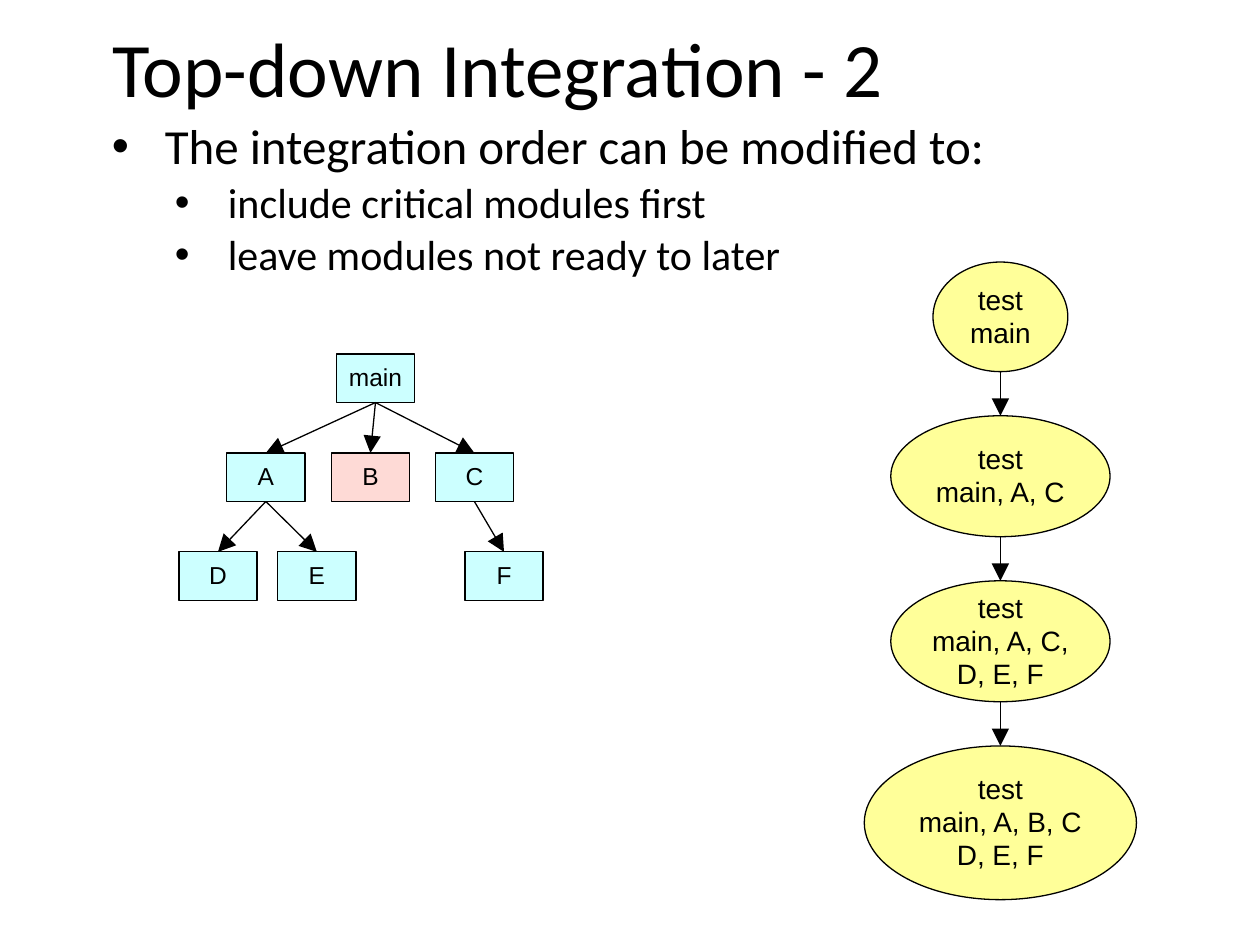
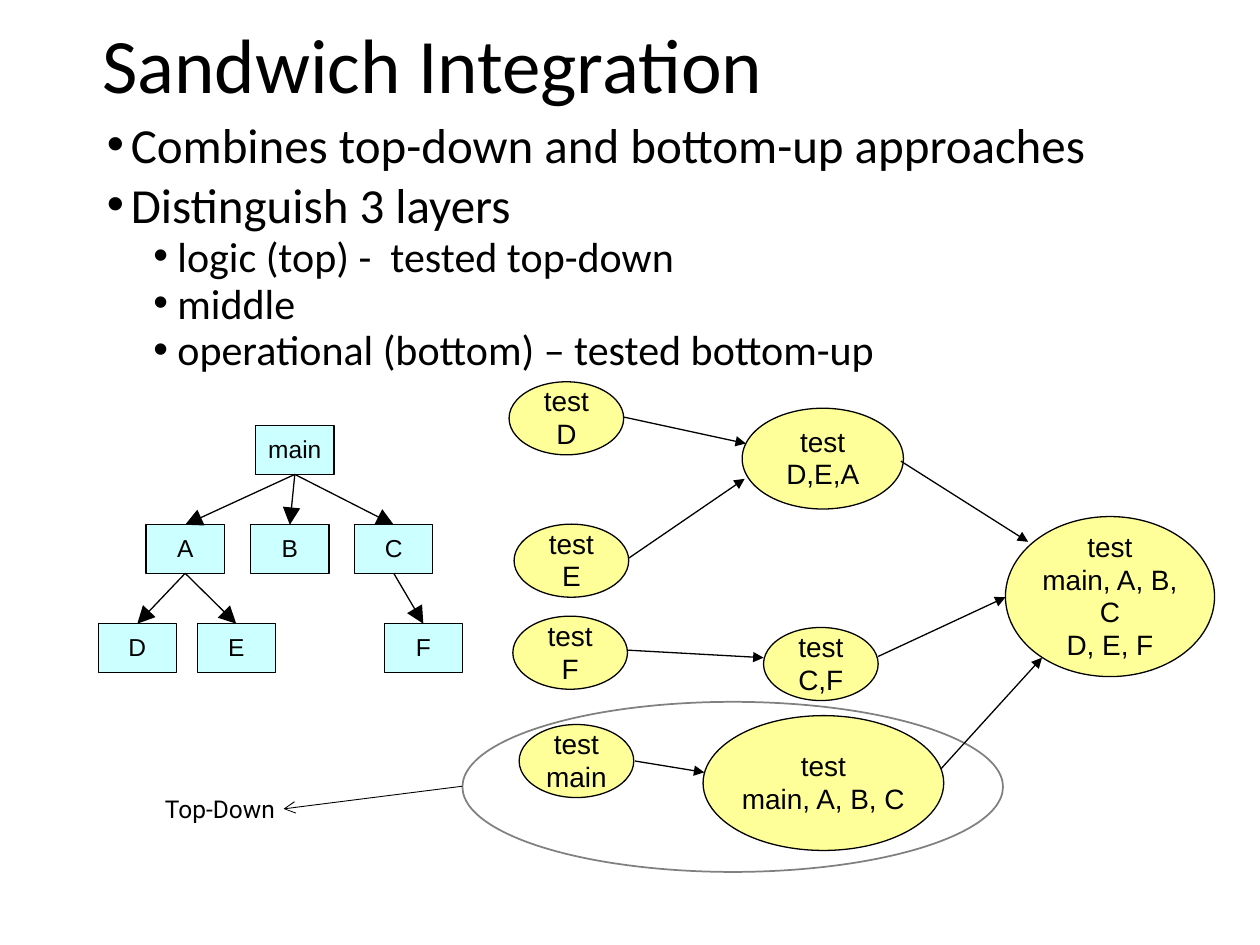
"""Build two slides on top-down and sandwich integration testing."""
import dataclasses

import lxml.etree
import pptx
import pptx.dml.color
import pptx.enum.shapes
import pptx.enum.text
import pptx.oxml.ns
import pptx.util


@dataclasses.dataclass(frozen=True)
class Theme:
    ink: str = "000000"
    cyan: str = "CCFFFF"
    pink: str = "FEDAD6"
    yellow: str = "FFFF99"
    gray: str = "808080"
    main: str = "Calibri"
    plain: str = "Arial"
    label: str = "Roboto"
    title: int = 44
    levels: tuple = (28, 24)
    before: tuple = (7.5, 3.8)
    oval: int = 16
    small: int = 14
    line: float = 0.75


theme = Theme()
color = pptx.dml.color.RGBColor.from_string
points = pptx.util.Pt
qn = pptx.oxml.ns.qn
kinds = pptx.enum.shapes.MSO_SHAPE
middle = pptx.enum.text.MSO_ANCHOR.MIDDLE
align = pptx.enum.text.PP_ALIGN

deck = pptx.Presentation()
deck.slide_width = pptx.util.Inches(10)
deck.slide_height = pptx.util.Inches(7.5)
cell = deck.slide_width / 100


def span(*counts):
    """Turn counts of grid cells into lengths."""
    return [pptx.util.Emu(round(cell * count)) for count in counts]


def write(para, text, font, size):
    """Add one styled run to a paragraph."""
    run = para.add_run()
    run.text = text
    run.font.name = font
    run.font.size = points(size)
    run.font.color.rgb = color(theme.ink)


box_w, box_h, row_h = 6.2, 3.85, 7.85
tree = {
    "main": (0, 0), "A": (-8.7, 1), "B": (-0.4, 1), "C": (7.85, 1),
    "D": (-12.5, 2), "E": (-4.65, 2), "F": (10.2, 2),
}
edges = [("main", "A"), ("main", "B"), ("main", "C"), ("A", "D"), ("A", "E"), ("C", "F")]

axis, top, gap = 79.4, 20.8, 3.5
chain, drops = [], []
for wide, high, lines in [
    (10.7, 8.7, ["test", "main"]),
    (17.4, 9.6, ["test", "main, A, C"]),
    (17.4, 9.6, ["test", "main, A, C, D, E, F"]),
    (21.6, 12.2, ["test", "main, A, B, C", "D, E, F"]),
]:
    if chain:
        drops.append((axis, top - gap, axis, top))
    chain.append((axis - wide / 2, top, wide, high, lines))
    top += high + gap

tiny = (9.1, 5.8)
merge = [
    (40.4, 30.3, *tiny, ["test", "D"]),
    (40.8, 41.6, *tiny, ["test", "E"]),
    (40.7, 48.9, *tiny, ["test", "F"]),
    (41.2, 57.5, *tiny, ["test", "main"]),
    (60.6, 49.8, *tiny, ["test", "C,F"]),
    (58.9, 32.4, 12.8, 8, ["test", "D,E,A"]),
    (55.8, 56.8, 19.1, 10.7, ["test", "main, A, B, C"]),
    (79.8, 41, 16.6, 12.7, ["test", "main, A, B, C", "D, E, F"]),
]
joins = [
    (49.5, 33.1, 59.2, 35.2), (49.9, 44.3, 59.1, 38), (71.5, 36.6, 81.6, 43),
    (49.8, 51.6, 60.6, 52.2), (69.7, 52.1, 79.8, 47.4), (74.7, 61, 82.7, 52.2),
    (50.4, 60.4, 55.9, 61.3),
]

pages = [
    dict(
        title="Top-down Integration - 2", head=(7.9, 1.2, 82.3, 9.1),
        body=(7.9, 9.2, 89.6, 59.2), left=(4.2, 9.2), hang=4.2, pitch=0.9,
        points=[
            (0, "The integration order can be modified to:"),
            (1, "include critical modules first"),
            (1, "leave modules not ready to later"),
        ],
        root=(26.7, 28.1), late="B", ovals=chain, arrows=drops, tip="lg",
    ),
    dict(
        title="Sandwich Integration", head=(7.1, 0.8, 82.3, 9.3),
        body=(7.5, 9.5, 90.6, 59), left=(1.9, 5.6), hang=1.9, pitch=0.8,
        points=[
            (0, "Combines top-down and bottom-up approaches"),
            (0, "Distinguish 3 layers"),
            (1, "logic (top) -  tested top-down"),
            (1, "middle"),
            (1, "operational (bottom) – tested bottom-up"),
        ],
        root=(20.3, 33.8), late=None, ovals=merge, arrows=joins, tip="med",
    ),
]

for page in pages:
    slide = deck.slides.add_slide(deck.slide_layouts[5])
    title = slide.shapes.title
    title.left, title.top, title.width, title.height = span(*page["head"])
    frame = title.text_frame
    frame.auto_size = pptx.enum.text.MSO_AUTO_SIZE.NONE
    frame.vertical_anchor = middle
    para = frame.paragraphs[0]
    para.alignment = align.LEFT
    para.line_spacing = 0.9
    write(para, page["title"], theme.main, theme.title)

    frame = slide.shapes.add_textbox(*span(*page["body"])).text_frame
    frame.word_wrap = True
    for index, (level, text) in enumerate(page["points"]):
        para = frame.add_paragraph() if index else frame.paragraphs[0]
        para.level = level
        para.line_spacing = page["pitch"]
        para.space_before = points(theme.before[level])
        props = para._p.get_or_add_pPr()
        left, hang = span(page["left"][level], page["hang"])
        props.set("marL", str(left))
        props.set("indent", str(-hang))
        lxml.etree.SubElement(props, qn("a:buFont"), typeface=theme.plain)
        lxml.etree.SubElement(props, qn("a:buChar"), char="•")
        write(para, text, theme.main, theme.levels[level])

    root_x, root_y = page["root"]
    nodes = [
        (kinds.OVAL, oval[:4], oval[4], theme.oval, theme.yellow) for oval in page["ovals"]
    ] + [
        (kinds.ROUNDED_RECTANGLE, (root_x + x, root_y + row * row_h, box_w, box_h), [name],
         theme.small, theme.pink if name == page["late"] else theme.cyan)
        for name, (x, row) in tree.items()
    ]
    boxes = {}
    for kind, place, lines, size, fill in nodes:
        node = slide.shapes.add_shape(kind, *span(*place))
        node.shadow.inherit = False
        node.fill.solid()
        node.fill.fore_color.rgb = color(fill)
        node.line.color.rgb = color(theme.ink)
        node.line.width = points(theme.line)
        if kind == kinds.ROUNDED_RECTANGLE:
            node.adjustments[0] = 0
            boxes[lines[0]] = node
        frame = node.text_frame
        frame.word_wrap = True
        frame.vertical_anchor = middle
        frame.margin_left = frame.margin_right = frame.margin_top = frame.margin_bottom = 0
        for index, text in enumerate(lines):
            para = frame.add_paragraph() if index else frame.paragraphs[0]
            para.alignment = align.CENTER
            para.line_spacing = 0.98
            write(para, text, theme.plain, size)

    links = [(ends, "triangle", page["tip"], theme.line, None) for ends in page["arrows"]]
    links += [((0, 0, 0, 0), "triangle", "lg", theme.line, edge) for edge in edges]
    if page is pages[-1]:
        ring = slide.shapes.add_shape(kinds.OVAL, *span(36.7, 55.7, 42.9, 13.5))
        ring.shadow.inherit = False
        ring.fill.background()
        ring.line.color.rgb = color(theme.gray)
        ring.line.width = points(1)
        label = slide.shapes.add_textbox(*span(12.1, 62.5, 10.8, 3.4))
        write(label.text_frame.paragraphs[0], "Top-Down", theme.label, theme.small)
        links.append(((36.7, 62.4, 22.5, 64.2), "arrow", "med", 0.5, None))

    for ends, tip, size, weight, edge in links:
        link = slide.shapes.add_connector(
            pptx.enum.shapes.MSO_CONNECTOR.STRAIGHT, *span(*ends))
        if edge:
            link.begin_connect(boxes[edge[0]], 2)
            link.end_connect(boxes[edge[1]], 0)
        link.line.color.rgb = color(theme.ink)
        link.line.width = points(weight)
        lxml.etree.SubElement(
            link.line._get_or_add_ln(), qn("a:tailEnd"), type=tip, w=size, len=size)
        lxml.etree.SubElement(link._element.spPr, qn("a:effectLst"))

deck.save("out.pptx")
